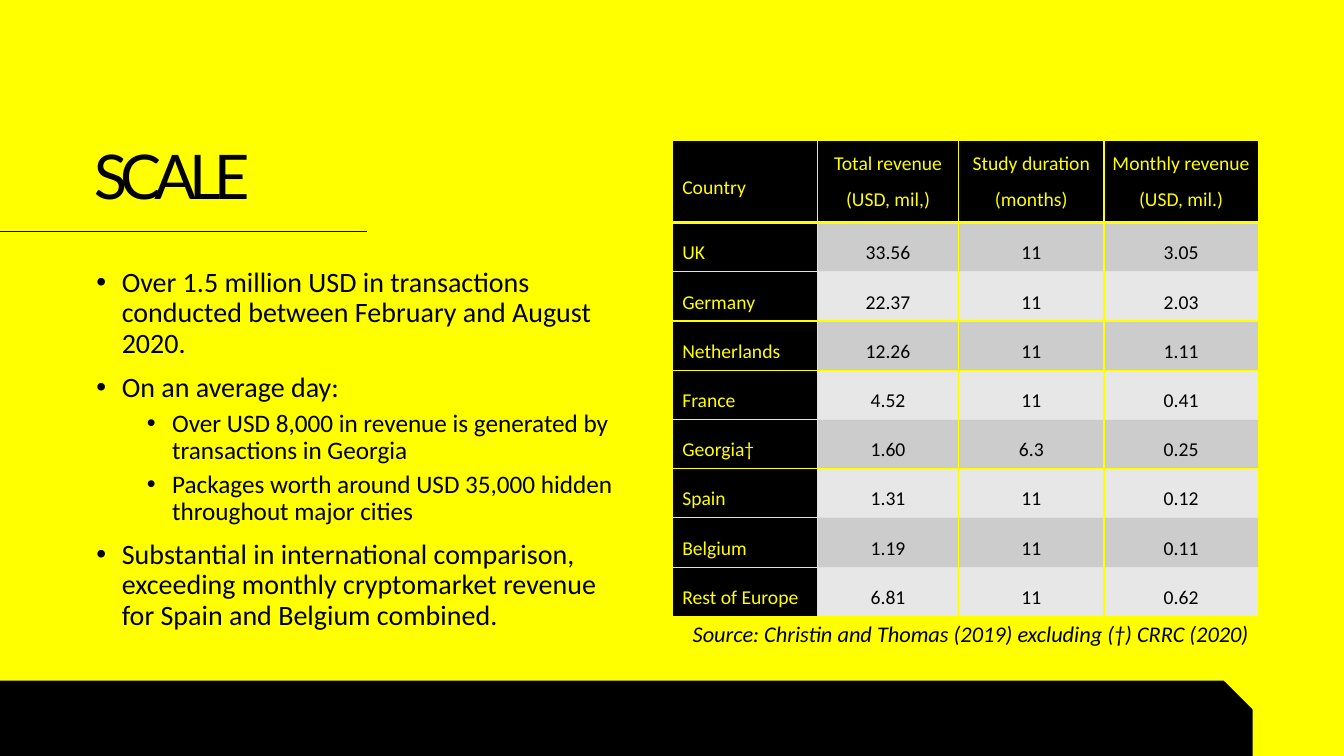
from lxml import etree
from pptx import Presentation
from pptx.dml.color import RGBColor
from pptx.enum.shapes import MSO_CONNECTOR, MSO_SHAPE
from pptx.enum.text import MSO_ANCHOR, MSO_AUTO_SIZE, PP_ALIGN
from pptx.oxml.ns import qn
from pptx.util import Cm, Pt

LEFT, CENTER, RIGHT = PP_ALIGN.LEFT, PP_ALIGN.CENTER, PP_ALIGN.RIGHT
TOP, MIDDLE, BOTTOM = MSO_ANCHOR.TOP, MSO_ANCHOR.MIDDLE, MSO_ANCHOR.BOTTOM
SNIP_RECT = MSO_SHAPE.SNIP_ROUND_RECTANGLE
STRAIGHT = MSO_CONNECTOR.STRAIGHT
NO_AUTOFIT = MSO_AUTO_SIZE.NONE
TITLE_ONLY = 5

COLORS = {"yellow": "FFFF00", "black": "000000", "band": "CCCCCC", "light": "E7E7E7"}

# Level, text
BULLETS = [
    (0, "Over 1.5 million USD in transactions conducted between February and August 2020."),
    (0, "On an average day:"),
    (1, "Over USD 8,000 in revenue is generated by transactions in Georgia"),
    (1, "Packages worth around USD 35,000 hidden throughout major cities"),
    (0, "Substantial in international comparison, exceeding monthly cryptomarket "
        "revenue for Spain and Belgium combined."),
]
# Per level: text size, space before, left margin
LEVELS = [(20, 10, 0.64), (18, 5, 1.91)]
HANGING = 0.64

REVENUE = [
    ("Country", "Total revenue (USD, mil,)", "Study duration (months)",
     "Monthly revenue (USD, mil.)"),
    ("UK", "33.56", "11", "3.05"),
    ("Germany", "22.37", "11", "2.03"),
    ("Netherlands", "12.26", "11", "1.11"),
    ("France", "4.52", "11", "0.41"),
    ("Georgia†", "1.60", "6.3", "0.25"),
    ("Spain", "1.31", "11", "0.12"),
    ("Belgium", "1.19", "11", "0.11"),
    ("Rest of Europe", "6.81", "11", "0.62"),
]
COL_WIDTHS = [3.66, 3.56, 3.66, 3.89]
HEADER_HEIGHT, ROW_HEIGHT = 2.08, 1.24


def rgb(name):
    return RGBColor.from_string(COLORS[name])


def set_all(obj, **values):
    for name, value in values.items():
        setattr(obj, name, value)


def write(p, text, color, size, font="Calibri", italic=False, **para):
    set_all(p, **para)
    r = p.add_run()
    r.text = text
    set_all(r.font, name=font, size=Pt(size), italic=italic)
    r.font.color.rgb = rgb(color)
    return r


def add_text(slide, left, top, width, height, **frame):
    sp = slide.shapes.add_textbox(Cm(left), Cm(top), Cm(width), Cm(height))
    set_all(sp.text_frame, word_wrap=True, **frame)
    return sp.text_frame


def add_footer_bar(slide):
    sp = slide.shapes.add_shape(SNIP_RECT, 0, Cm(17.17), Cm(31.55), Cm(1.88))
    sp.adjustments[0] = 0
    sp.adjustments[1] = 0.382
    sp.shadow.inherit = False
    sp.fill.solid()
    sp.fill.fore_color.rgb = rgb("black")
    sp.line.color.rgb = rgb("black")
    sp.line.width = Pt(1)


def add_title(slide, text):
    sp = slide.shapes.title
    set_all(sp, left=Cm(2.11), top=Cm(2.67), width=Cm(13.79), height=Cm(2.82))
    tf = sp.text_frame
    set_all(tf, vertical_anchor=BOTTOM, auto_size=NO_AUTOFIT, word_wrap=True)
    r = write(tf.paragraphs[0], text, "black", 44, "Lato",
              alignment=LEFT, line_spacing=0.9)
    rPr = r.font._element
    rPr.set("spc", "-500")
    rPr.set("cap", "small")


def add_rule(slide):
    line = slide.shapes.add_connector(STRAIGHT, 0, Cm(5.84), Cm(9.25), Cm(5.84))
    line.line.color.rgb = rgb("black")
    line.line.width = Pt(0.5)
    etree.SubElement(line._element.spPr, qn("a:effectLst"))


def add_bullets(slide):
    tf = add_text(slide, 2.18, 6.27, 13.74, 10.13, vertical_anchor=MIDDLE)
    for i, (level, text) in enumerate(BULLETS):
        size, before, margin = LEVELS[level]
        p = tf.add_paragraph() if i else tf.paragraphs[0]
        write(p, text, "black", size, level=level, line_spacing=0.9,
              space_before=Pt(before))
        pPr = p._p.get_or_add_pPr()
        pPr.set("marL", str(Cm(margin)))
        pPr.set("indent", str(-Cm(HANGING)))
        etree.SubElement(pPr, qn("a:buFont"), typeface="Arial")
        etree.SubElement(pPr, qn("a:buChar"), char="•")


def set_borders(cell, bottom):
    tcPr = cell._tc.get_or_add_tcPr()
    for side, width in (("L", 1), ("R", 1), ("T", 1), ("B", bottom)):
        ln = etree.SubElement(tcPr, qn(f"a:ln{side}"), w=str(Pt(width)))
        fill = etree.SubElement(ln, qn("a:solidFill"))
        etree.SubElement(fill, qn("a:srgbClr"), val=COLORS["yellow"])


def format_cell(cell, row, col, text):
    header, label = row == 0, col == 0
    dark = header or label
    # The line under the header is shared with the first body row
    set_borders(cell, 3 if header else 1)
    cell.fill.solid()
    cell.fill.fore_color.rgb = rgb("black" if dark else "band" if row % 2 else "light")
    cell.vertical_anchor = TOP if header and not label else MIDDLE
    if not label:
        set_all(cell, margin_left=Cm(0.1), margin_right=Cm(0.1),
                margin_top=0, margin_bottom=0)
    write(cell.text_frame.paragraphs[0], text, "yellow" if dark else "black", 14,
          alignment=LEFT if label else CENTER, line_spacing=1.5, space_after=Pt(6))


def add_revenue_table(slide):
    height = HEADER_HEIGHT + ROW_HEIGHT * (len(REVENUE) - 1)
    table = slide.shapes.add_table(len(REVENUE), len(COL_WIDTHS), Cm(16.94), Cm(3.53),
                                   Cm(sum(COL_WIDTHS)), Cm(height)).table
    for column, width in zip(table.columns, COL_WIDTHS):
        column.width = Cm(width)
    for i, values in enumerate(REVENUE):
        table.rows[i].height = Cm(ROW_HEIGHT if i else HEADER_HEIGHT)
        for j, text in enumerate(values):
            format_cell(table.cell(i, j), i, j, text)


def add_source(slide):
    tf = add_text(slide, 16.43, 15.49, 15.29, 0.94)
    write(tf.paragraphs[0], "Source: Christin and Thomas (2019) excluding (†) CRRC (2020)",
          "black", 16, italic=True, alignment=RIGHT)


def main():
    prs = Presentation()
    set_all(prs, slide_width=Cm(33.87), slide_height=Cm(19.05))
    slide = prs.slides.add_slide(prs.slide_layouts[TITLE_ONLY])
    slide.background.fill.solid()
    slide.background.fill.fore_color.rgb = rgb("yellow")

    # Frame and heading
    add_footer_bar(slide)
    add_title(slide, "SCALE")
    add_rule(slide)

    # Left: findings; right: revenue by country
    add_bullets(slide)
    add_revenue_table(slide)
    add_source(slide)
    prs.save("out.pptx")


if __name__ == "__main__":
    main()
